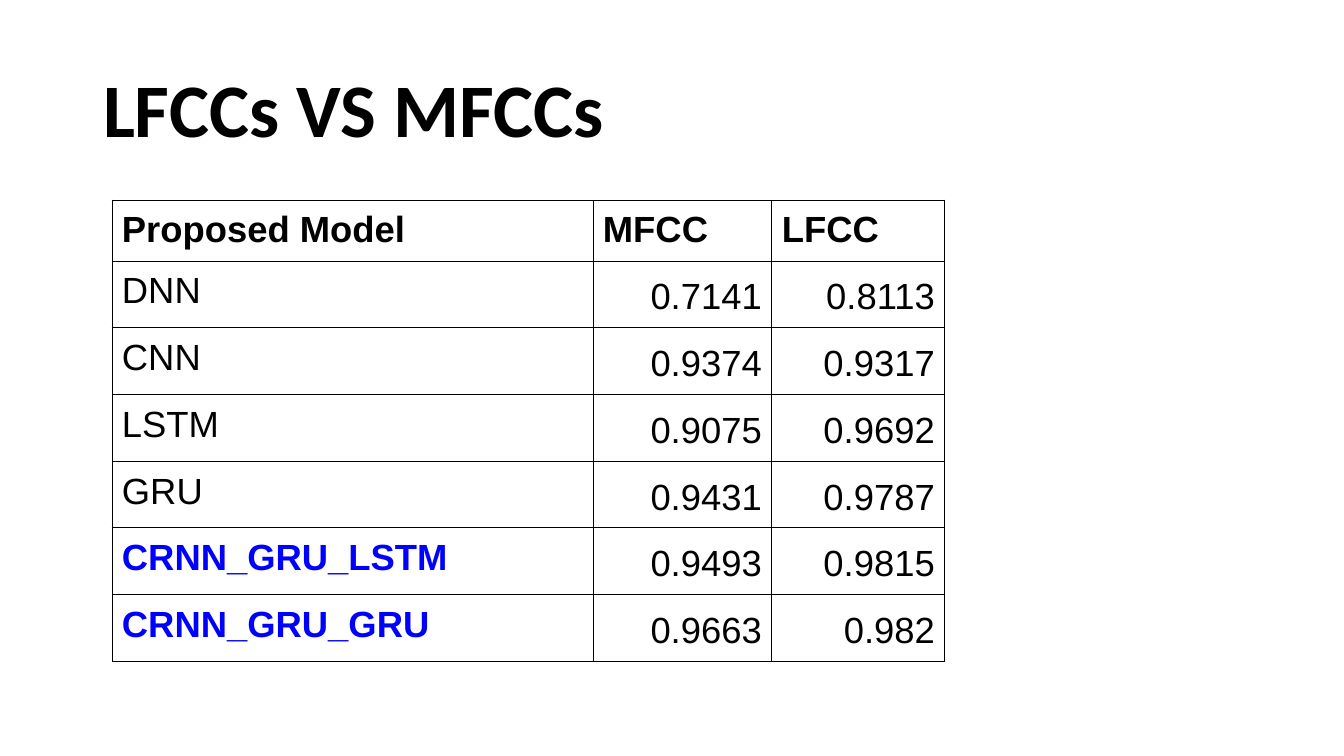
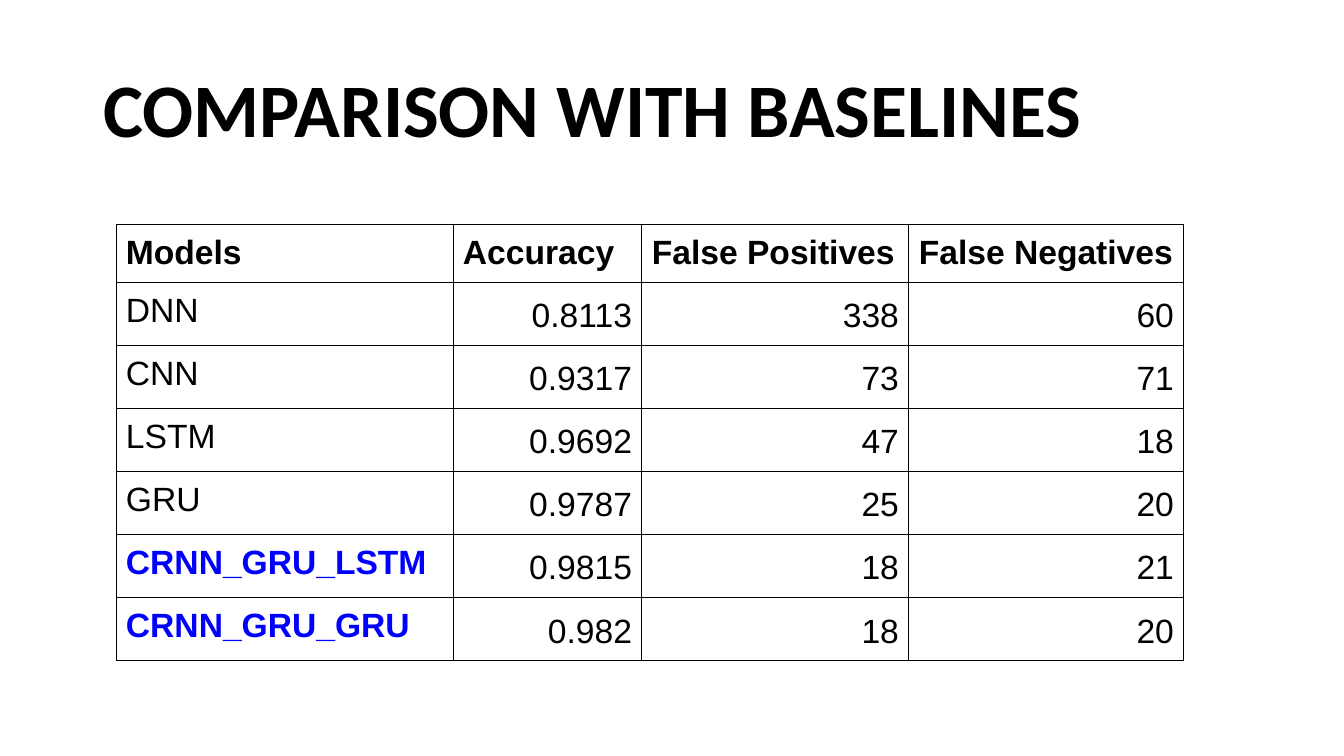
import lxml.etree
import pptx
import pptx.dml.color
import pptx.enum.text
import pptx.oxml.ns
import pptx.util

PX = 12192000 / 1344
BLACK = pptx.dml.color.RGBColor(0x00, 0x00, 0x00)
BLUE = pptx.dml.color.RGBColor(0x00, 0x00, 0xFF)
LEFT = pptx.enum.text.PP_ALIGN.LEFT
RIGHT = pptx.enum.text.PP_ALIGN.RIGHT
CELL_MARGIN = 10
BORDER_WIDTH = pptx.util.Pt(0.75)
TITLE_BOX = (93, 40, 1159, 146)

SLIDES = [
    {
        "title": "LFCCs VS MFCCs",
        "corner": (112, 200),
        "columns": [481, 179, 173],
        "header_height": 61,
        "row_height": 66,
        "size": 26,
        "rows": [
            ("Proposed Model", "MFCC", "LFCC"),
            ("DNN", "0.7141", "0.8113"),
            ("CNN", "0.9374", "0.9317"),
            ("LSTM", "0.9075", "0.9692"),
            ("GRU", "0.9431", "0.9787"),
            ("CRNN_GRU_LSTM", "0.9493", "0.9815"),
            ("CRNN_GRU_GRU", "0.9663", "0.982"),
        ],
    },
    {
        "title": "COMPARISON WITH BASELINES",
        "corner": (116, 224),
        "columns": [337, 189, 267, 275],
        "header_height": 58,
        "row_height": 63,
        "size": 24,
        "rows": [
            ("Models", "Accuracy", "False Positives", "False Negatives"),
            ("DNN", "0.8113", "338", "60"),
            ("CNN", "0.9317", "73", "71"),
            ("LSTM", "0.9692", "47", "18"),
            ("GRU", "0.9787", "25", "20"),
            ("CRNN_GRU_LSTM", "0.9815", "18", "21"),
            ("CRNN_GRU_GRU", "0.982", "18", "20"),
        ],
    },
]


def write_text(frame, text, *, font, size, color=BLACK, bold=False, align=LEFT, spacing=1.0):
    para = frame.paragraphs[0]
    para.alignment = align
    para.line_spacing = spacing
    span = para.add_run()
    span.text = text
    span.font.name = font
    span.font.size = pptx.util.Pt(size)
    span.font.bold = bold
    span.font.color.rgb = color


def add_borders(cell):
    properties = cell._tc.get_or_add_tcPr()
    for side in ("a:lnL", "a:lnR", "a:lnT", "a:lnB"):
        line = lxml.etree.SubElement(properties, pptx.oxml.ns.qn(side), w=str(BORDER_WIDTH))
        fill = lxml.etree.SubElement(line, pptx.oxml.ns.qn("a:solidFill"))
        lxml.etree.SubElement(fill, pptx.oxml.ns.qn("a:srgbClr"), val=str(BLACK))


deck = pptx.Presentation()
deck.slide_width = round(1344 * PX)
deck.slide_height = round(756 * PX)
title_only = deck.slide_layouts[5]

for content in SLIDES:
    page = deck.slides.add_slide(title_only)

    title = page.shapes.title
    title.left, title.top, title.width, title.height = [round(length * PX) for length in TITLE_BOX]
    title.text_frame.auto_size = pptx.enum.text.MSO_AUTO_SIZE.NONE
    title.text_frame.vertical_anchor = pptx.enum.text.MSO_ANCHOR.MIDDLE
    write_text(title.text_frame, content["title"], font="Calibri", size=54, bold=True, spacing=0.9)

    rows, columns = content["rows"], content["columns"]
    heights = [content["header_height"]] + [content["row_height"]] * (len(rows) - 1)
    left, top = content["corner"]
    box = [round(length * PX) for length in (left, top, sum(columns), sum(heights))]
    table = page.shapes.add_table(len(rows), len(columns), *box).table
    table.first_row = False
    table.horz_banding = False
    for column, width in zip(table.columns, columns):
        column.width = round(width * PX)

    for row_number, values in enumerate(rows):
        table.rows[row_number].height = round(heights[row_number] * PX)
        for column_number, value in enumerate(values):
            cell = table.cell(row_number, column_number)
            add_borders(cell)
            cell.fill.background()
            cell.margin_left = cell.margin_right = round(CELL_MARGIN * PX)
            cell.margin_top = cell.margin_bottom = round(CELL_MARGIN * PX)
            is_header = row_number == 0
            is_number = not is_header and column_number > 0
            is_proposed = value.startswith("CRNN")
            write_text(
                cell.text_frame,
                value,
                font="Arial",
                size=content["size"],
                color=BLUE if is_proposed else BLACK,
                bold=is_header or is_proposed,
                align=RIGHT if is_number else LEFT,
                spacing=1.15 if is_number else 1.0,
            )

deck.save("out.pptx")
